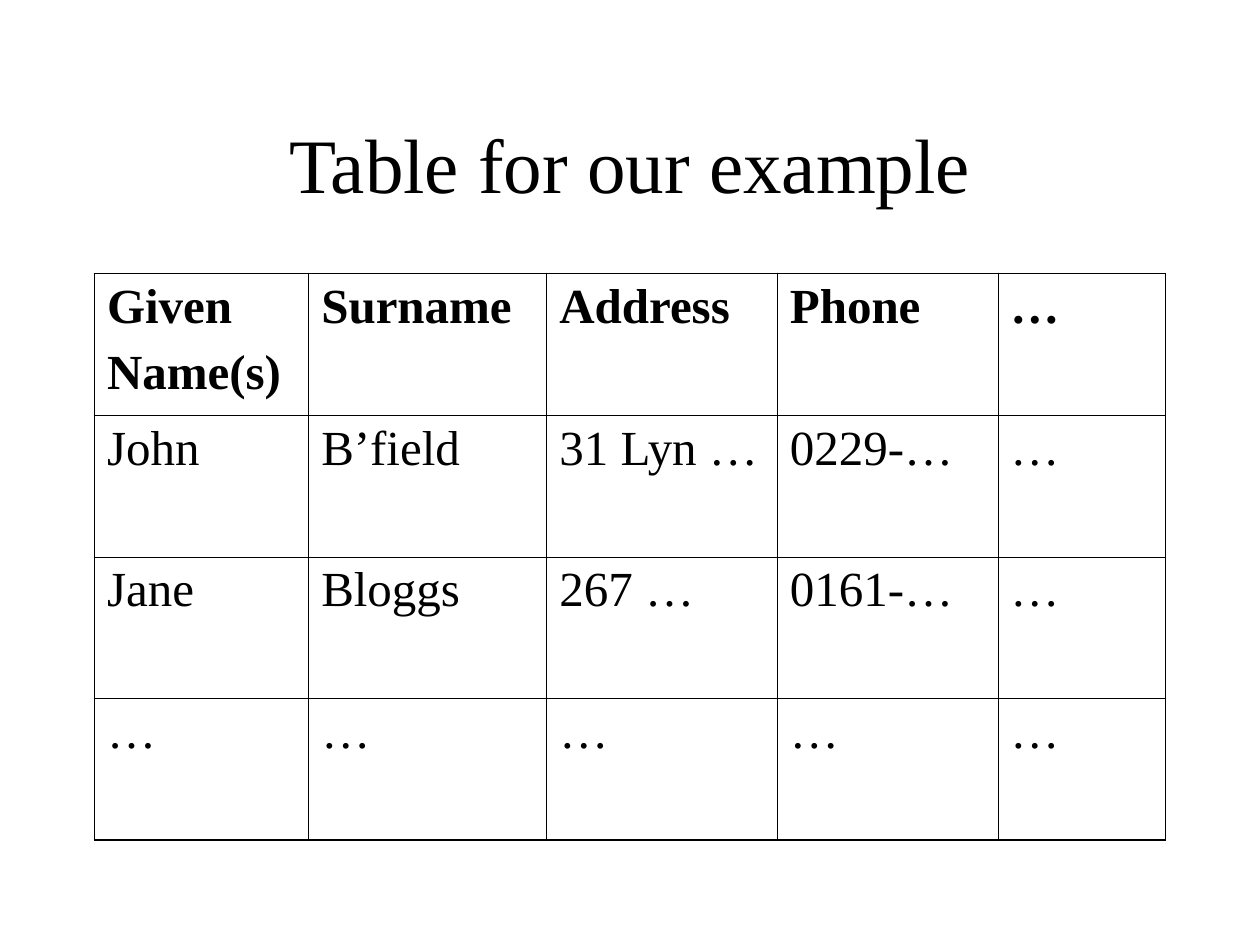
from dataclasses import dataclass

from lxml.etree import SubElement
from pptx import Presentation
from pptx.dml.color import RGBColor
from pptx.enum.text import MSO_ANCHOR, PP_ALIGN
from pptx.oxml.ns import qn
from pptx.util import Inches, Pt


@dataclass(frozen=True)
class Theme:
    font: str = "Times New Roman"
    ink: str = "000000"
    title_size: float = 44
    body_size: float = 28
    paragraph_gap: float = 7
    outer_line: float = 1.08
    inner_line: float = 0.45


THEME = Theme()
RECORDS = [
    ["Given\nName(s)", "Surname", "Address", "Phone", "…"],
    ["John", "B’field", "31 Lyn …", "0229-…", "…"],
    ["Jane", "Bloggs", "267 …", "0161-…", "…"],
    ["…"] * 5,
]
COLUMN_WIDTHS = [1.7, 1.89, 1.83, 1.75, 1.33]


def style_font(paragraph, size, bold=False):
    for run in paragraph.runs:
        run.font.name = THEME.font
        run.font.size = Pt(size)
        run.font.bold = bold
        run.font.color.rgb = RGBColor.from_string(THEME.ink)


def draw_border(cell, side, width):
    """Rule one side (L, R, T or B) of a cell; call in that order."""
    line = SubElement(cell._tc.get_or_add_tcPr(), qn(f"a:ln{side}"), w=str(Pt(width)))
    SubElement(SubElement(line, qn("a:solidFill")), qn("a:srgbClr"), val=THEME.ink)


prs = Presentation()
prs.slide_width, prs.slide_height = Inches(10), Inches(7.5)
margin = Inches(0.75)
content_width = prs.slide_width - 2 * margin

slide = prs.slides.add_slide(prs.slide_layouts[5])
title = slide.shapes.title
title.left, title.top = margin, Inches(0.67)
title.width, title.height = content_width, Inches(1.25)
title.text_frame.text = "Table for our example"
title.text_frame.vertical_anchor = MSO_ANCHOR.MIDDLE
title.text_frame.paragraphs[0].alignment = PP_ALIGN.CENTER
style_font(title.text_frame.paragraphs[0], THEME.title_size)

last_row, last_column = len(RECORDS) - 1, len(COLUMN_WIDTHS) - 1
people = slide.shapes.add_table(
    len(RECORDS), len(COLUMN_WIDTHS), margin, Inches(2.17), content_width, Inches(4.5)
).table
people.horz_banding = False
for column, width in zip(people.columns, COLUMN_WIDTHS):
    column.width = Inches(width)

for r, record in enumerate(RECORDS):
    for c, entry in enumerate(record):
        cell = people.cell(r, c)
        cell.text_frame.text = entry
        for i, paragraph in enumerate(cell.text_frame.paragraphs):
            if i > 0:
                paragraph.space_before = Pt(THEME.paragraph_gap)
            style_font(paragraph, THEME.body_size, bold=r == 0)
        on_edge = {"L": c == 0, "R": c == last_column, "T": r == 0, "B": r == last_row}
        for side, outer in on_edge.items():
            draw_border(cell, side, THEME.outer_line if outer else THEME.inner_line)
        cell.fill.background()

prs.save("out.pptx")
